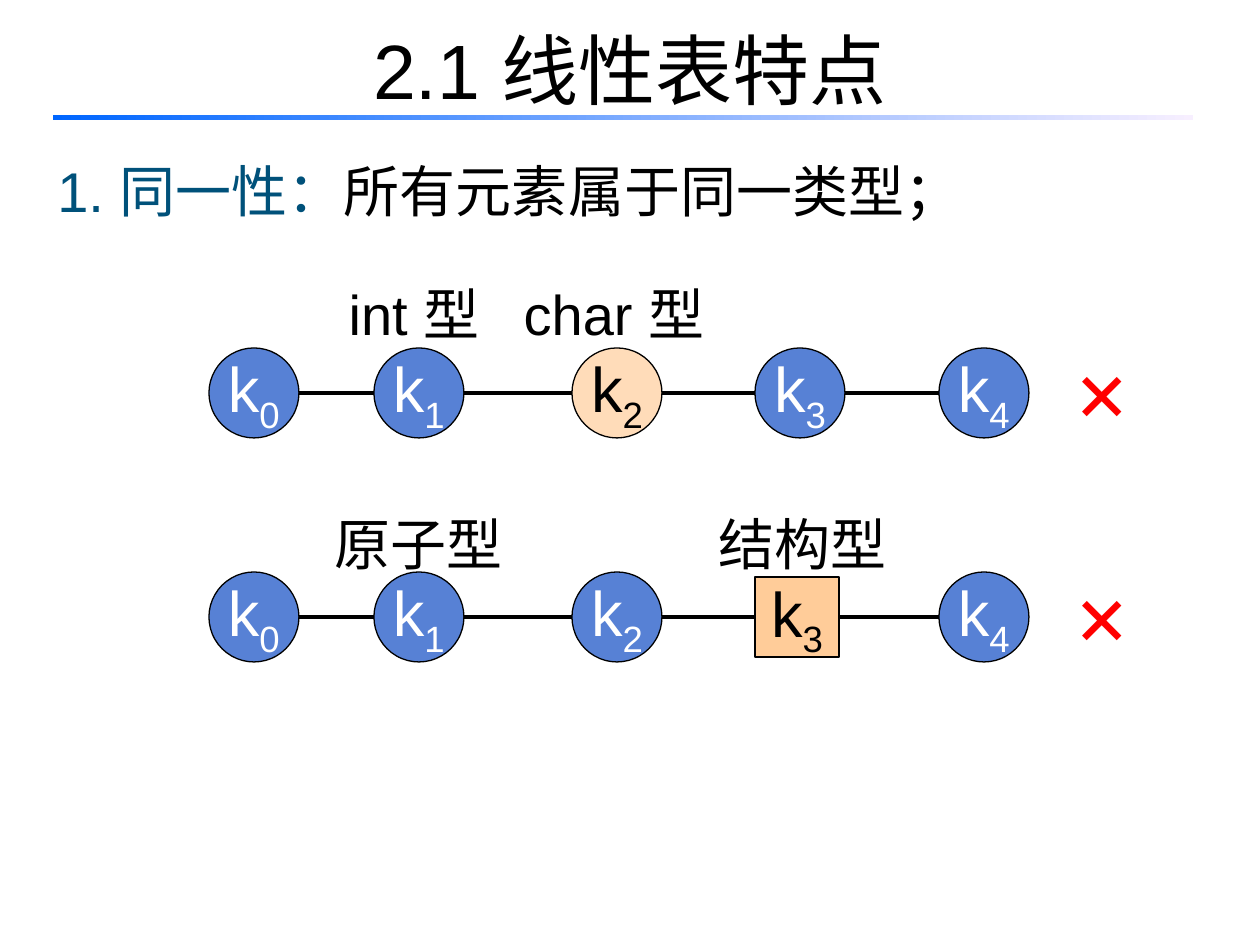
from dataclasses import dataclass

from lxml.etree import SubElement
from pptx import Presentation
from pptx.dml.color import RGBColor
from pptx.enum.shapes import MSO_CONNECTOR, MSO_SHAPE
from pptx.enum.text import MSO_ANCHOR, PP_ALIGN
from pptx.oxml.ns import qn
from pptx.util import Emu, Pt


@dataclass(frozen=True)
class Theme:
    """Colours, fonts and type sizes of the slide."""
    black: str = "000000"
    white: str = "FFFFFF"
    heading: str = "00517A"
    cross: str = "FF0000"
    node: str = "5781D5"
    odd_node: str = "FFDCB9"
    struct_node: str = "FFCC99"
    rule_start: str = "0066FF"
    rule_end: str = "F7EFFF"
    font: str = "Arial"
    cross_font: str = "Times New Roman"
    title_size: int = 44
    node_size: int = 36
    body_size: int = 32
    cross_size: int = 54


THEME = Theme()
NODE = 90
NODE_LEFTS = (0, 165, 363, 546, 730)


def px(n):
    """Turn pixels into EMU."""
    return Emu(round(n * 914400 / 126))


def rgb(color):
    """Turn a hex string into a colour."""
    return RGBColor.from_string(color)


def set_font(font, size, color, name=THEME.font):
    """Set the face, size and colour of a font."""
    font.name, font.size = name, Pt(size)
    font.color.rgb = rgb(color)


def add_text(slide, box, text, size=THEME.body_size, color=THEME.black,
             name=THEME.font, align=PP_ALIGN.CENTER):
    """Add a wrapped one-paragraph text box and return its frame."""
    tf = slide.shapes.add_textbox(*map(px, box)).text_frame
    tf.word_wrap = True
    p = tf.paragraphs[0]
    p.alignment = align
    p.add_run().text = text
    set_font(p.font, size, color, name)
    return tf


def add_title(slide, box, text):
    """Add the title and the gradient rule at its foot."""
    x, y, w, h = box
    rule = (x - 10, y + 125, w + 6, 5)
    sp = slide.shapes.add_shape(MSO_SHAPE.RECTANGLE, *map(px, rule))
    sp.shadow.inherit = False
    sp.line.fill.background()
    sp.fill.gradient()
    sp.fill.gradient_angle = 0
    for stop, color in zip(sp.fill.gradient_stops, (THEME.rule_start, THEME.rule_end)):
        stop.color.rgb = rgb(color)
    tf = add_text(slide, box, text, THEME.title_size)
    tf.vertical_anchor = MSO_ANCHOR.MIDDLE


def add_point(slide, box, heading, text):
    """Add a numbered point with a coloured heading."""
    tf = add_text(slide, box, heading, color=THEME.heading, align=PP_ALIGN.LEFT)
    p = tf.paragraphs[0]
    p.runs[0].font.color.rgb = rgb(THEME.heading)
    r = p.add_run()
    r.text = text
    r.font.color.rgb = rgb(THEME.black)


def add_node(slide, box, index, fill, color, shape=MSO_SHAPE.OVAL):
    """Add one list element labelled k with a subscript."""
    sp = slide.shapes.add_shape(shape, *map(px, box))
    sp.shadow.inherit = False
    sp.fill.solid()
    sp.fill.fore_color.rgb = rgb(fill)
    sp.line.color.rgb = rgb(THEME.black)
    sp.line.width = Pt(0.75)
    tf = sp.text_frame
    tf.word_wrap = False
    tf.vertical_anchor = MSO_ANCHOR.MIDDLE
    p = tf.paragraphs[0]
    p.alignment = PP_ALIGN.CENTER
    p.add_run().text = "k"
    sub = p.add_run()
    sub.text = str(index)
    set_font(p.font, THEME.node_size, color)
    sub.font._element.set("baseline", "-25000")
    return sp


def add_link(slide, left, right):
    """Draw the line between two neighbouring elements."""
    y = left.top + left.height // 2
    cxn = slide.shapes.add_connector(
        MSO_CONNECTOR.STRAIGHT, left.left + left.width, y, right.left, y)
    cxn.line.color.rgb = rgb(THEME.black)
    cxn.line.width = Pt(2.5)
    SubElement(cxn._element.spPr, qn("a:effectLst"))
    if left.auto_shape_type == MSO_SHAPE.RECTANGLE:
        cxn.begin_connect(left, 3)
    if right.auto_shape_type == MSO_SHAPE.RECTANGLE:
        cxn.end_connect(right, 1)


def add_list(slide, origin, labels, odd=None, struct=None):
    """Draw a linked list with type labels above and a cross at its end."""
    x, y = origin
    for left, top, width, text in labels:
        add_text(slide, (x + left, y + top, width, 81), text)
    nodes = []
    for i, left in enumerate(NODE_LEFTS):
        box = (x + left, y, NODE, NODE)
        if i == struct:
            box = (x + left, y + 5, 84, 80)
            sp = add_node(slide, box, i, THEME.struct_node, THEME.black, MSO_SHAPE.RECTANGLE)
        elif i == odd:
            sp = add_node(slide, box, i, THEME.odd_node, THEME.black)
        else:
            sp = add_node(slide, box, i, THEME.node, THEME.white)
        nodes.append(sp)
    for left, right in zip(nodes, nodes[1:]):
        add_link(slide, left, right)
    tf = add_text(slide, (x + 841, y - 20, 104, 127), "×",
                  THEME.cross_size, THEME.cross, THEME.cross_font)
    tf.paragraphs[0].font.bold = True


def main():
    """Build the slide and save it."""
    prs = Presentation()
    prs.slide_width, prs.slide_height = px(1260), px(945)
    slide = prs.slides.add_slide(prs.slide_layouts[6])
    add_title(slide, (63, -10, 1134, 157), "2.1 线性表特点")
    add_point(slide, (45, 150, 1110, 81), "1. 同一性：", "所有元素属于同一类型；")
    add_list(slide, (209, 348),
             ((95, -75, 220, "int 型"), (295, -75, 220, "char 型")), odd=2)
    add_list(slide, (209, 572),
             ((95, -69, 230, "原子型"), (473, -69, 242, "结构型")), struct=3)
    prs.save("out.pptx")


if __name__ == "__main__":
    main()
